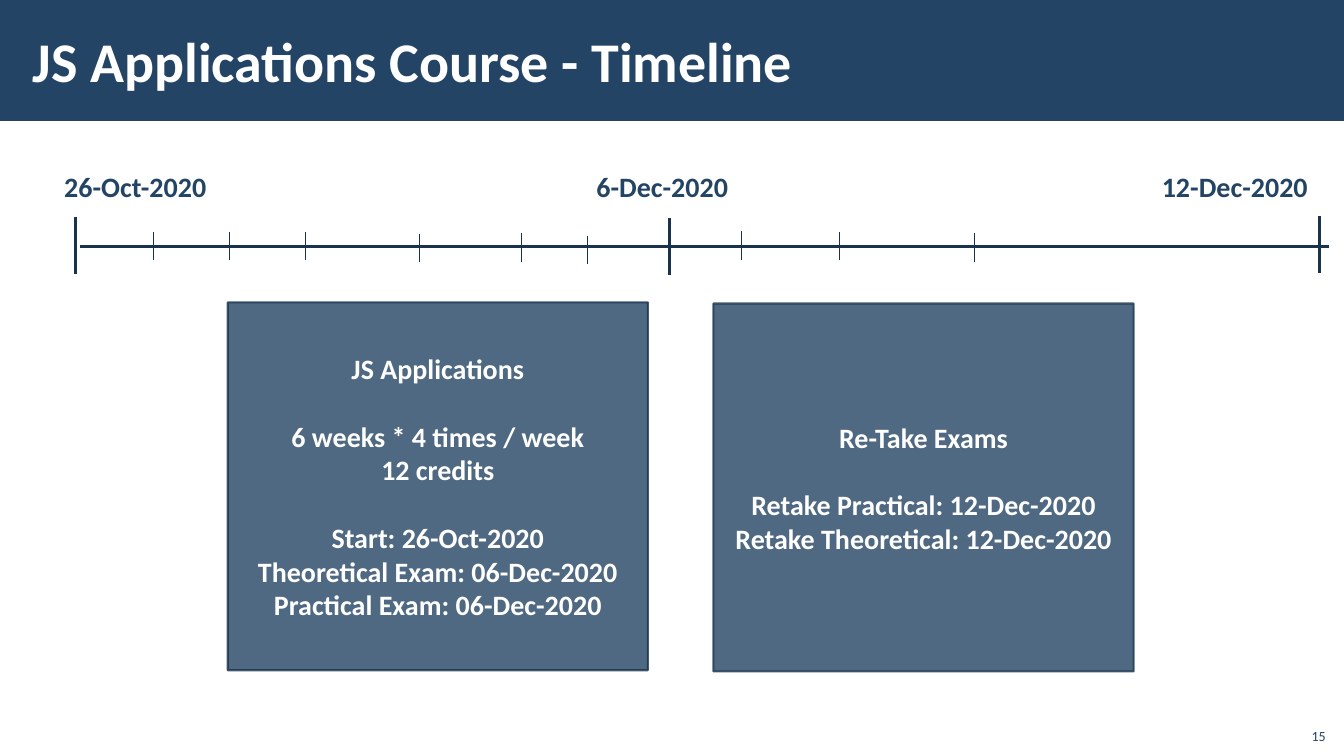
from lxml import etree
from pptx import Presentation
from pptx.dml.color import RGBColor
from pptx.enum.shapes import MSO_CONNECTOR, MSO_SHAPE
from pptx.enum.text import MSO_ANCHOR, MSO_AUTO_SIZE, PP_ALIGN
from pptx.oxml.ns import qn
from pptx.util import Cm, Pt

STRAIGHT = MSO_CONNECTOR.STRAIGHT
RECTANGLE = MSO_SHAPE.RECTANGLE
MIDDLE, BOTTOM = MSO_ANCHOR.MIDDLE, MSO_ANCHOR.BOTTOM
LEFT, CENTER, RIGHT = PP_ALIGN.LEFT, PP_ALIGN.CENTER, PP_ALIGN.RIGHT
FIT_SHAPE = MSO_AUTO_SIZE.SHAPE_TO_FIT_TEXT
NAVY, DARK, WHITE = "234465", "1A334C", "FFFFFF"
LINE_GAP = 24.4


def paint(color_format, color, opacity=100):
    """Set a hex colour, with an alpha value when it is see-through."""
    color_format.rgb = RGBColor.from_string(color)
    if opacity < 100:
        value = color_format._xFill.find(qn("a:srgbClr"))
        etree.SubElement(value, qn("a:alpha"), val=str(opacity * 1000))


def write(para, text, size, color, align=LEFT, bold=True):
    para.alignment = align
    span = para.add_run()
    span.text = text
    span.font.name = "Calibri"
    span.font.size = Pt(size)
    span.font.bold = bold
    paint(span.font.color, color)


deck = Presentation()
deck.slide_width, deck.slide_height = Cm(33.87), Cm(19.05)
page = deck.slides.add_slide(deck.slide_layouts[6])
shapes = page.shapes

# Title band
band = shapes.add_shape(RECTANGLE, 0, 0, deck.slide_width, Cm(3.05))
band.shadow.inherit = False
band.fill.solid()
paint(band.fill.fore_color, NAVY)
band.line.fill.background()

title = shapes.add_textbox(Cm(0.53), Cm(0.28), Cm(27), Cm(2.46))
frame = title.text_frame
frame.word_wrap = True
frame.vertical_anchor = MIDDLE
frame.margin_left = frame.margin_right = Cm(0.3)
frame.margin_top = frame.margin_bottom = Cm(0.1)
write(frame.paragraphs[0], "JS Applications Course - Timeline", 40, WHITE)

# Timeline: axis, then long and short ticks as (x, top)
long_ticks = [(1.9, 5.46), (16.87, 5.49), (33.25, 5.44)]
short_ticks = [(3.86, 5.84), (5.77, 5.84), (7.7, 5.84), (10.57, 5.89), (13.13, 5.87),
               (14.81, 5.94), (18.69, 5.82), (21.16, 5.84), (24.56, 5.87)]
strokes = [(2.01, 6.22, 33.5, 6.22, 2.25)]
strokes += [(x, top, x, top + 1.45, 2.25) for x, top in long_ticks]
strokes += [(x, top, x, top + 0.72, 0.5) for x, top in short_ticks]
for x1, y1, x2, y2, weight in strokes:
    stroke = shapes.add_connector(STRAIGHT, Cm(x1), Cm(y1), Cm(x2), Cm(y2))
    stroke.line.width = Pt(weight)
    paint(stroke.line.color, DARK)
    etree.SubElement(stroke._element.spPr, qn("a:effectLst"))

# Dates above the axis
dates = [("26-Oct-2020", 1.37, 4.14), ("6-Dec-2020", 14.78, 3.86), ("12-Dec-2020", 29.03, 4.22)]
for date, left, width in dates:
    label = shapes.add_textbox(Cm(left), Cm(4.14), Cm(width), Cm(1.12))
    label.text_frame.word_wrap = False
    label.text_frame.auto_size = FIT_SHAPE
    write(label.text_frame.paragraphs[0], date, 20, NAVY)

# Course boxes: each inner list is a group of lines, with a gap between groups
courses = [
    (5.74, 7.62, [
        ["JS Applications"],
        ["6 weeks * 4 times / week", "12 credits"],
        ["Start: 26-Oct-2020", "Theoretical Exam: 06-Dec-2020", "Practical Exam: 06-Dec-2020"],
    ]),
    (17.98, 7.65, [
        ["Re-Take Exams"],
        ["Retake Practical: 12-Dec-2020", "Retake Theoretical: 12-Dec-2020"],
    ]),
]
for left, top, groups in courses:
    box = shapes.add_shape(RECTANGLE, Cm(left), Cm(top), Cm(10.59), Cm(9.27))
    box.shadow.inherit = False
    box.fill.solid()
    paint(box.fill.fore_color, NAVY, 80)
    box.line.width = Pt(1.5)
    paint(box.line.color, DARK, 80)
    frame = box.text_frame
    frame.word_wrap = True
    frame.vertical_anchor = MIDDLE
    para = frame.paragraphs[0]
    for group_index, group in enumerate(groups):
        for line_index, text in enumerate(group):
            if group_index or line_index:
                para = frame.add_paragraph()
            if group_index and not line_index:
                para.space_before = Pt(LINE_GAP)
            write(para, text, 20, WHITE, CENTER)

# Page number
number = shapes.add_textbox(Cm(32.64), Cm(18.08), Cm(1.02), Cm(0.81))
number.text_frame.word_wrap = True
number.text_frame.vertical_anchor = BOTTOM
write(number.text_frame.paragraphs[0], "15", 10, NAVY, RIGHT, bold=False)

deck.save("out.pptx")
